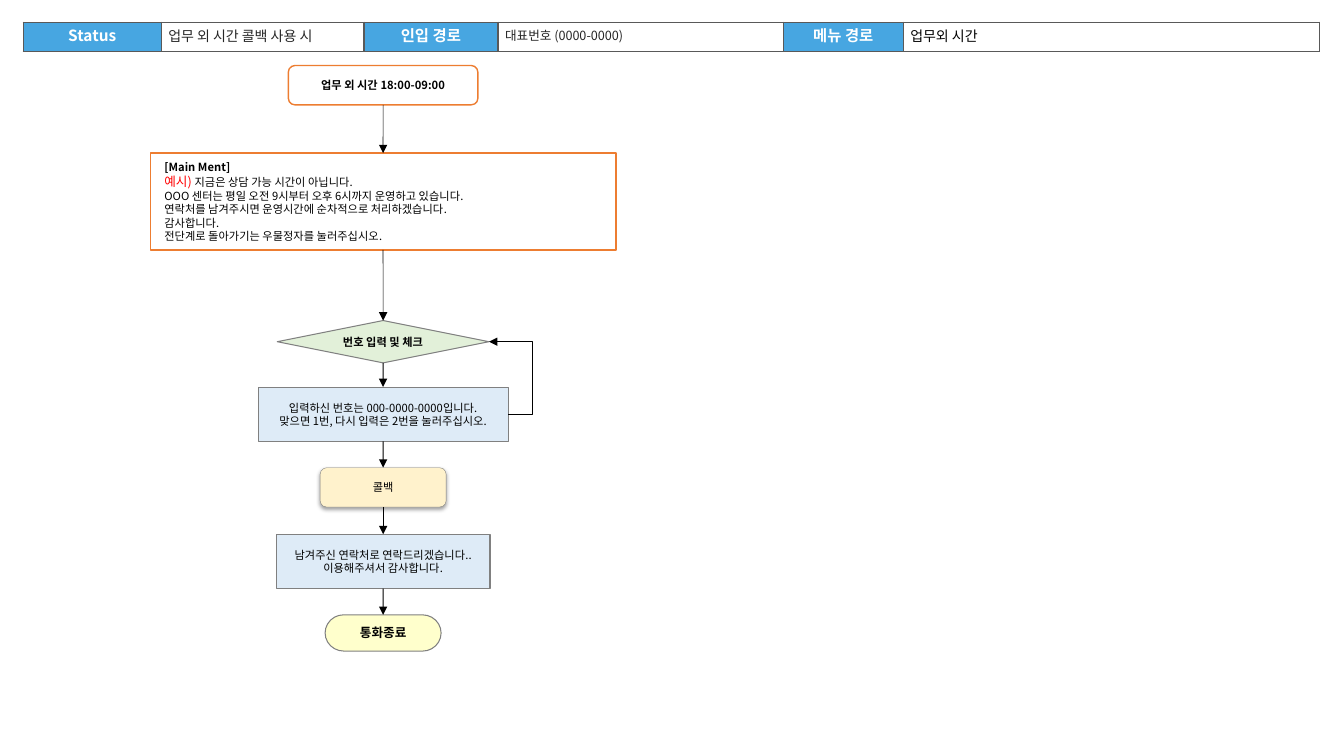
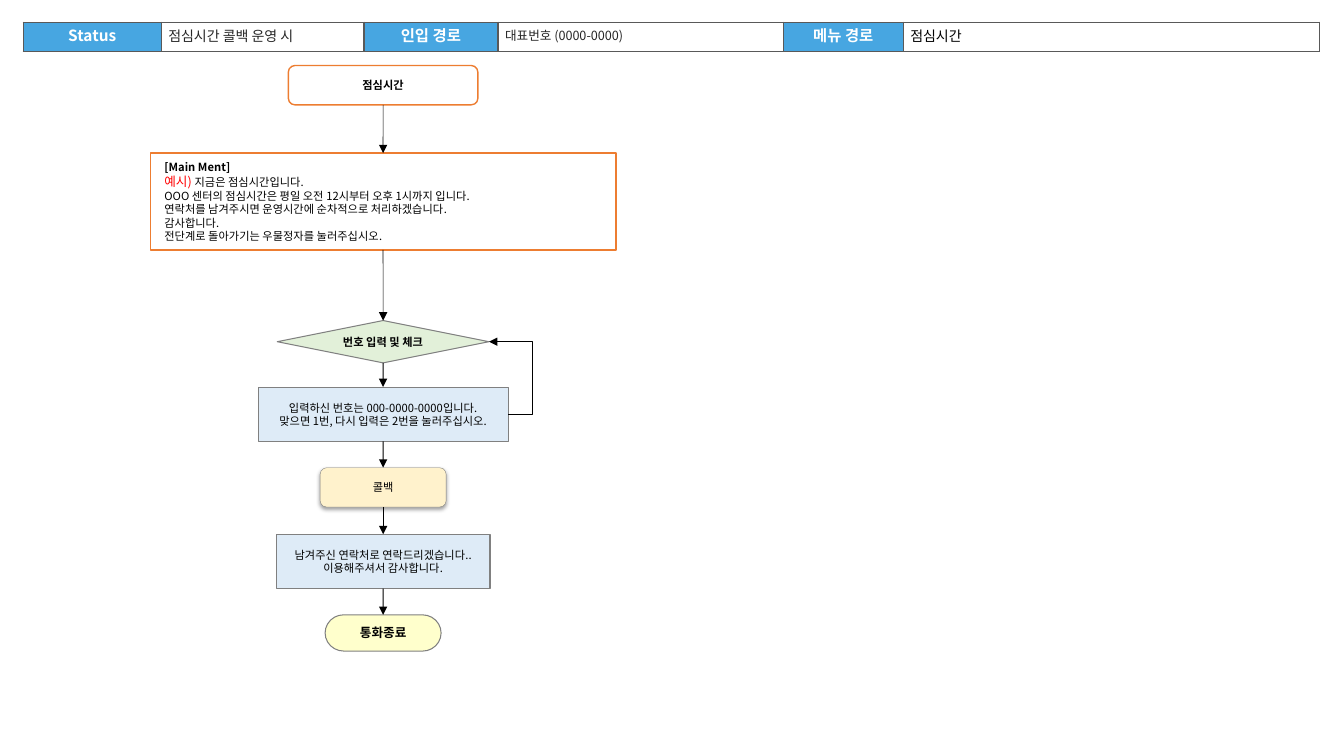
"""Build two call-flow slides for callback handling outside working hours."""
from lxml.etree import SubElement
from pptx import Presentation
from pptx.dml.color import RGBColor
from pptx.enum.shapes import MSO_CONNECTOR as LINK, MSO_SHAPE as KIND
from pptx.enum.text import MSO_ANCHOR as ANCHOR, PP_ALIGN as ALIGN
from pptx.oxml.ns import qn
from pptx.util import Inches, Pt

FONT = "Noto Sans CJK KR"
HUES = {
    "white": "FFFFFF", "black": "000000", "dark": "262626", "red": "FF0000",
    "blue": "47A6E1", "edge": "595959", "gray": "808080", "orange": "ED7D31",
    "green": "E2F0D9", "pale": "DEEBF7", "cream": "FFF2CC", "lemon": "FFFFCC",
}
PAGES = [
    {
        "status": "업무 외 시간 콜백 사용 시",
        "menu": "업무외 시간",
        "start": "업무 외 시간 18:00-09:00",
        "ment": ["지금은 상담 가능 시간이 아닙니다.",
                 "OOO 센터는 평일 오전 9시부터 오후 6시까지 운영하고 있습니다."],
    },
    {
        "status": "점심시간 콜백 운영 시",
        "menu": "점심시간",
        "start": "점심시간",
        "ment": ["지금은 점심시간입니다.",
                 "OOO 센터의 점심시간은 평일 오전 12시부터 오후 1시까지 입니다."],
    },
]
OUTRO = ["연락처를 남겨주시면 운영시간에 순차적으로 처리하겠습니다.", "감사합니다.",
         "전단계로 돌아가기는 우물정자를 눌러주십시오."]
CHECK = ["입력하신 번호는 000-0000-0000입니다.", "맞으면 1번, 다시 입력은 2번을 눌러주십시오."]
CLOSE = ["남겨주신 연락처로 연락드리겠습니다..", "이용해주셔서 감사합니다."]

COLS = [1.37, 2.01, 1.33, 2.83, 1.19, 4.13]
AXIS = 3.8
LOOP = 5.28
LEAD = 1.2


def hue(name):
    return RGBColor.from_string(HUES[name])


def style(run, size, color="black", bold=False):
    font = run.font
    font.size, font.bold, font.name = Pt(size), bold, FONT
    font.color.rgb = hue(color)
    SubElement(run.font._element, qn("a:ea"), typeface=FONT)


def write(frame, lines, align):
    for i, runs in enumerate(lines):
        para = frame.paragraphs[0] if i == 0 else frame.add_paragraph()
        para.alignment = align
        para.line_spacing = Pt(LEAD * max(run[1] for run in runs))
        for text, *look in runs:
            run = para.add_run()
            run.text = text
            style(run, *look)


def plain(lines, size=8, bold=False):
    return [[(line, size, "black", bold)] for line in lines]


def steps(page):
    first, *rest = page["ment"]
    ment = plain(["[Main Ment]"], bold=True)
    ment += [[("예시) ", 9, "red"), (first, 8)]] + plain(rest + OUTRO)
    alt = KIND.FLOWCHART_ALTERNATE_PROCESS
    return [
        (alt, 0.65, 1.88, 0.39, "white", "orange", 1, plain([page["start"]], bold=True)),
        (KIND.RECTANGLE, 1.52, 4.62, 0.96, "white", "orange", 1, ment),
        (KIND.FLOWCHART_DECISION, 3.18, 2.1, 0.42, "green", "gray", 0.75,
         plain(["번호 입력 및 체크"], bold=True)),
        (KIND.RECTANGLE, 3.84, 2.48, 0.54, "pale", "gray", 0.75, plain(CHECK)),
        (alt, 4.64, 1.25, 0.39, "cream", "gray", 0.25, plain(["콜백"])),
        (KIND.RECTANGLE, 5.3, 2.12, 0.54, "pale", "gray", 0.75, plain(CLOSE)),
        (KIND.FLOWCHART_TERMINATOR, 6.1, 1.15, 0.36, "lemon", "gray", 0.75,
         plain(["통화종료"], 9, True)),
    ]


def add_step(slide, kind, top, wide, high, fill, edge, width, lines):
    box = slide.shapes.add_shape(
        kind, Inches(AXIS - wide / 2), Inches(top), Inches(wide), Inches(high))
    box.shadow.inherit = False
    box.fill.solid()
    box.fill.fore_color.rgb = hue(fill)
    box.line.color.rgb = hue(edge)
    box.line.width = Pt(width)
    frame = box.text_frame
    frame.vertical_anchor = ANCHOR.MIDDLE
    frame.word_wrap = kind == KIND.RECTANGLE
    frame.margin_left = frame.margin_right = Inches(0.14)
    frame.margin_top = frame.margin_bottom = Inches(0.05)
    write(frame, lines, ALIGN.LEFT if len(lines) > 2 else ALIGN.CENTER)
    return box


def cast(box):
    effect = box._element.spPr.find(qn("a:effectLst"))
    shade = SubElement(effect, qn("a:outerShdw"), blurRad=str(Pt(3.1)),
                       dist=str(Pt(1.6)), dir="5400000", rotWithShape="0")
    color = SubElement(shade, qn("a:srgbClr"), val=HUES["black"])
    SubElement(color, qn("a:alpha"), val="38000")


def add_arrow(slide, kind, start, end, width):
    link = slide.shapes.add_connector(kind, *start, *end)
    link.line.color.rgb = hue("black")
    link.line.width = Pt(width)
    SubElement(link.line._get_or_add_ln(), qn("a:tailEnd"), type="triangle")
    SubElement(link._element.spPr, qn("a:effectLst"))
    return link


def add_loop(slide, low, high):
    start = low.left + low.width, low.top + low.height // 2
    end = high.left + high.width, high.top + high.height // 2
    link = add_arrow(slide, LINK.ELBOW, start, end, 0.75)
    bend = round((start[0] - Inches(LOOP)) / (start[0] - end[0]) * 100000)
    guides = link._element.spPr.find(qn("a:prstGeom")).find(qn("a:avLst"))
    SubElement(guides, qn("a:gd"), name="adj1", fmla=f"val {bend}")


def add_flow(slide, page):
    boxes = [add_step(slide, *step) for step in steps(page)]
    cast(boxes[4])
    for i, (top, low) in enumerate(zip(boxes, boxes[1:])):
        start = Inches(AXIS), top.top + top.height
        end = Inches(AXIS), low.top
        link = add_arrow(slide, LINK.STRAIGHT, start, end, 0.5 if i < 2 else 0.75)
        link.begin_connect(top, 2)
        link.end_connect(low, 0)
    add_loop(slide, boxes[3], boxes[2])


def frame_cell(cell):
    props = cell._tc.get_or_add_tcPr()
    for i, side in enumerate(("lnL", "lnR", "lnT", "lnB")):
        line = props.makeelement(qn(f"a:{side}"), w=str(Pt(1)))
        fill = SubElement(line, qn("a:solidFill"))
        SubElement(fill, qn("a:srgbClr"), val=HUES["edge"])
        props.insert(i, line)


def add_band(slide, page):
    cells = [
        ("Status", 11, "white", True), (page["status"], 10, "dark"),
        ("인입 경로", 11, "white", True), ("대표번호 (0000-0000)", 9, "dark"),
        ("메뉴 경로", 11, "white", True), (page["menu"], 10, "black"),
    ]
    table = slide.shapes.add_table(
        1, len(COLS), Inches(0.23), Inches(0.22), Inches(sum(COLS)), Inches(0.29)).table
    table.first_row = table.horz_banding = False
    for i, (wide, run) in enumerate(zip(COLS, cells)):
        table.columns[i].width = Inches(wide)
        cell = table.cell(0, i)
        label = i % 2 == 0
        cell.fill.solid()
        cell.fill.fore_color.rgb = hue("blue" if label else "white")
        cell.margin_left = cell.margin_right = Inches(0.07)
        cell.margin_top = cell.margin_bottom = 0
        cell.vertical_anchor = ANCHOR.MIDDLE
        write(cell.text_frame, [[run]], ALIGN.CENTER if label else ALIGN.LEFT)
        frame_cell(cell)


def main():
    deck = Presentation()
    deck.slide_width, deck.slide_height = Inches(13.33), Inches(7.5)
    for page in PAGES:
        slide = deck.slides.add_slide(deck.slide_layouts[6])
        add_band(slide, page)
        add_flow(slide, page)
    deck.save("out.pptx")


if __name__ == "__main__":
    main()
